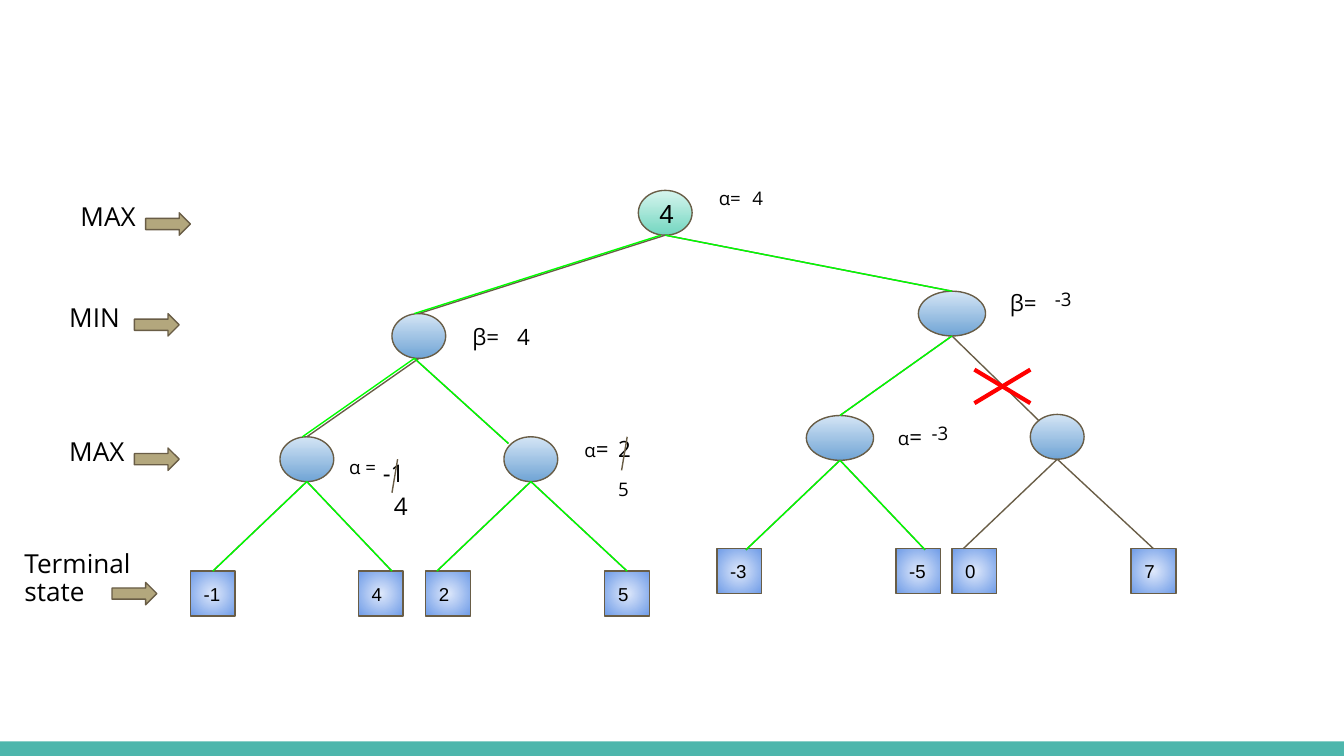
from lxml.etree import SubElement
from pptx import Presentation
from pptx.dml.color import RGBColor
from pptx.enum.shapes import MSO_CONNECTOR, MSO_SHAPE
from pptx.enum.text import MSO_ANCHOR, PP_ALIGN
from pptx.oxml.ns import qn
from pptx.util import Pt

PX = 7620
INSET = 12
BLACK = RGBColor(0x00, 0x00, 0x00)
BROWN = RGBColor(0x69, 0x5D, 0x46)
SAND = RGBColor(0xB3, 0xA7, 0x7D)
GREEN = RGBColor(0x00, 0xFF, 0x00)
RED = RGBColor(0xFF, 0x00, 0x00)
TEAL = RGBColor(0x4D, 0xB6, 0xAC)
MINT = (RGBColor(0xD6, 0xF5, 0xEE), RGBColor(0x73, 0xD6, 0xC0))
SKY = (RGBColor(0xD4, 0xE5, 0xF5), RGBColor(0x70, 0xA4, 0xD5))
LEAF = (RGBColor(0xDF, 0xE9, 0xFB), RGBColor(0x6E, 0x9B, 0xE7))

NODE_HEIGHT = 40
NODES = [
    ("4", 570, 170, 48, MINT),
    ("", 350, 280, 48, SKY),
    ("", 250, 390, 48, SKY),
    ("", 450, 390, 48, SKY),
    ("", 820, 260, 60, SKY),
    ("", 720, 371, 60, SKY),
    ("", 920, 370, 48, SKY),
]
LEAF_SIZE = 40
LEAVES = [
    ("-1", 170, 510), ("4", 320, 510), ("2", 380, 510), ("5", 540, 510),
    ("-3", 640, 490), ("-5", 800, 490), ("0", 850, 490), ("7", 1010, 490),
]
LEVELS = [
    ("MAX", (60, 170, 90, 40), (130, 190)),
    ("MIN", (50, 260, 90, 40), (120, 280)),
    ("MAX", (50, 380, 90, 40), (120, 400)),
    ("Terminal state", (10, 480, 130, 60), (100, 520)),
]
SHARED_EDGES = [
    ((594, 210), (850, 260)),
    ((274, 430), (350, 510)),
    ((274, 430), (190, 510)),
    ((474, 430), (560, 510)),
    ((474, 430), (390, 510)),
    ((850, 300), (750, 371)),
    ((750, 411), (826, 491)),
    ((750, 411), (666, 491)),
    ((370, 320), (454, 396)),
]
TREE_EDGES = SHARED_EDGES + [
    ((594, 210), (374, 280)),
    ((374, 320), (274, 390)),
    ((850, 300), (928, 376)),
    ((944, 410), (1030, 490)),
    ((944, 410), (860, 490)),
]
VISITED_EDGES = SHARED_EDGES + [
    ((590, 210), (370, 280)),
    ((370, 320), (270, 390)),
]
STRIKES = [((355, 410), (350, 440)), ((560, 390), (555, 420))]
PRUNE_CROSS = [((870, 330), (920, 360)), ((920, 330), (870, 360))]
VALUES = [
    ([("α =", 10)], (300, 400, 50, 40)),
    ([("-1", 13)], (330, 400, 50, 40)),
    ([("4", 13)], (340, 430, 50, 50)),
    ([("β=", 12)], (410, 280, 50, 50)),
    ([("4", 12)], (450, 280, 40, 70)),
    ([("α", 10), ("=", 12)], (510, 380, 50, 50)),
    ([("2", 12)], (540, 380, 40, 70)),
    ([("5", 10)], (540, 420, 40, 40)),
    ([("α=", 10)], (630, 160, 50, 30)),
    ([("4", 10)], (660, 160, 30, 30)),
    ([("α", 10), ("=", 12)], (790, 370, 50, 50)),
    ([("-3", 10)], (820, 370, 40, 40)),
    ([("β=", 12)], (890, 250, 50, 50)),
    ([("-3", 10)], (930, 250, 40, 70)),
]

presentation = Presentation()
presentation.slide_width = 1200 * PX
presentation.slide_height = 675 * PX
slide = presentation.slides.add_slide(presentation.slide_layouts[6])
tops = {}


def scale(box):
    return [value * PX for value in box]


def set_insets(frame):
    frame.word_wrap = True
    frame.margin_left = frame.margin_right = INSET * PX
    frame.margin_top = frame.margin_bottom = INSET * PX


def add_shape(kind, box, color=None, line=BROWN):
    shape = slide.shapes.add_shape(kind, *scale(box))
    shape.shadow.inherit = False
    if color is not None:
        shape.fill.solid()
        shape.fill.fore_color.rgb = color
    if line is None:
        shape.line.fill.background()
    else:
        shape.line.color.rgb = line
        shape.line.width = Pt(0.75)
    return shape


def add_node(kind, box, colors, text, size, radial=False):
    shape = add_shape(kind, box)
    shape.fill.gradient()
    for stop, color in zip(shape.fill.gradient_stops, colors):
        stop.color.rgb = color
    shape.fill.gradient_angle = 270
    if radial:
        gradient = shape._element.spPr.find(qn("a:gradFill"))
        gradient.remove(gradient.find(qn("a:lin")))
        circle = SubElement(gradient, qn("a:path"), path="circle")
        SubElement(circle, qn("a:fillToRect"), l="50000", t="50000", r="50000", b="50000")
    if text:
        frame = shape.text_frame
        set_insets(frame)
        frame.vertical_anchor = MSO_ANCHOR.MIDDLE
        paragraph = frame.paragraphs[0]
        paragraph.text = text
        paragraph.alignment = PP_ALIGN.LEFT
        paragraph.font.name = "Arial"
        paragraph.font.size = Pt(size)
        paragraph.font.color.rgb = BLACK
    left, top, width, height = box
    tops[left + width // 2, top] = shape


def add_lines(lines, color, width=0.75):
    for start, end in lines:
        connector = slide.shapes.add_connector(MSO_CONNECTOR.STRAIGHT, *scale(start + end))
        connector.line.color.rgb = color
        connector.line.width = Pt(width)
        SubElement(connector._element.spPr, qn("a:effectLst"))
        if end in tops:
            connector.end_connect(tops[end], 0)


def add_label(runs, box):
    frame = slide.shapes.add_textbox(*scale(box)).text_frame
    set_insets(frame)
    paragraph = frame.paragraphs[0]
    paragraph.line_spacing = 0.9
    paragraph.font.name = "Open Sans"
    paragraph.font.color.rgb = BLACK
    for text, size in runs:
        run = paragraph.add_run()
        run.text = text
        run.font.size = Pt(size)


add_shape(MSO_SHAPE.RECTANGLE, (0, 662, 1200, 13), TEAL, line=None)
for text, left, top, width, colors in NODES:
    add_node(MSO_SHAPE.OVAL, (left, top, width, NODE_HEIGHT), colors, text, 14)
for text, left, top in LEAVES:
    add_node(MSO_SHAPE.RECTANGLE, (left, top, LEAF_SIZE, LEAF_SIZE), LEAF, text, 10, radial=True)
add_lines(TREE_EDGES, BROWN)
for text, box, (left, top) in LEVELS:
    add_shape(MSO_SHAPE.RIGHT_ARROW, (left, top, 40, 20), SAND)
    add_label([(text, 14)], box)
add_lines(VISITED_EDGES, GREEN)
for runs, box in VALUES:
    add_label(runs, box)
add_lines(STRIKES, BROWN)
add_lines(PRUNE_CROSS, RED, 2.25)

presentation.save("out.pptx")
